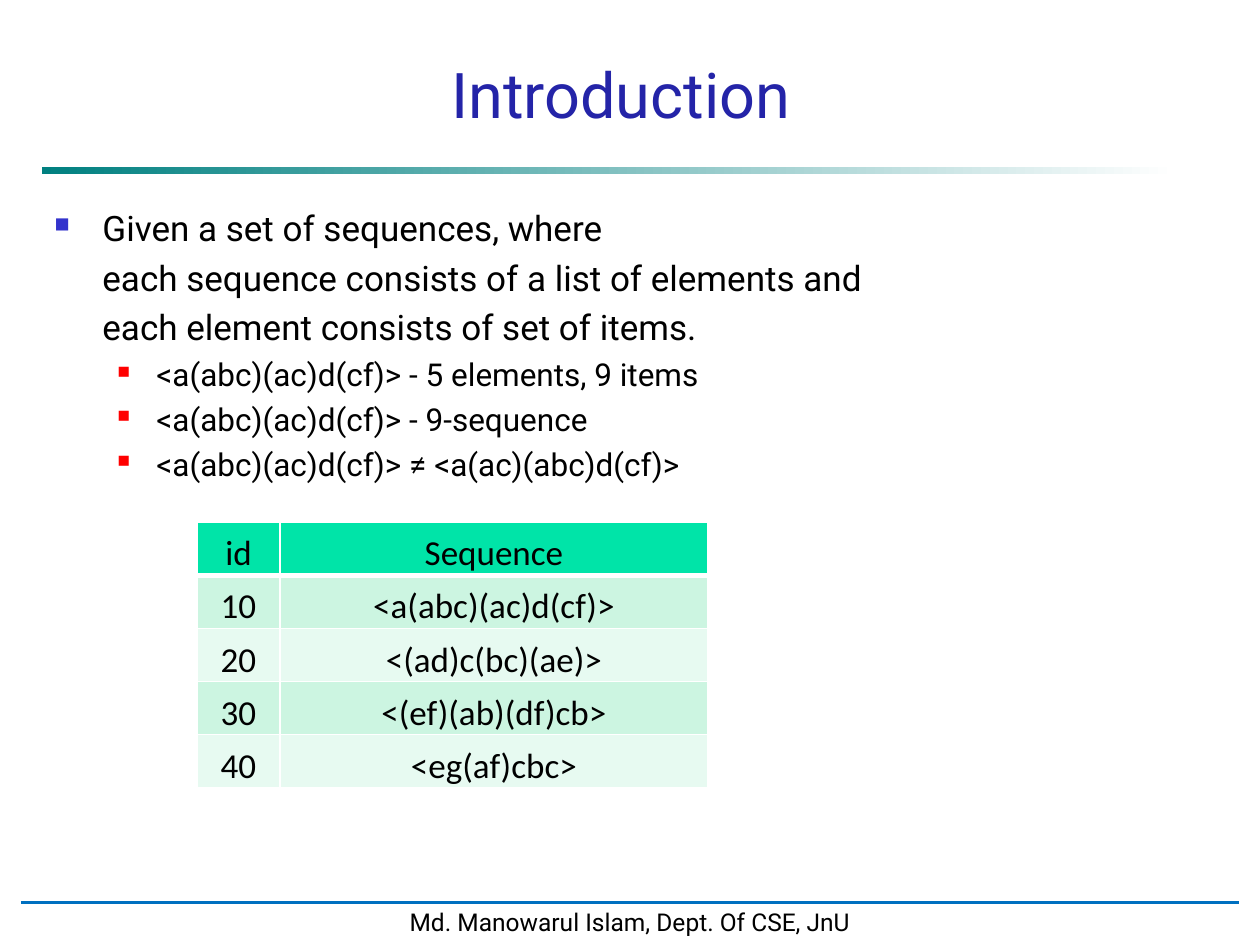
from lxml import etree
from pptx import Presentation
from pptx.dml.color import RGBColor
from pptx.enum.shapes import MSO_CONNECTOR, MSO_SHAPE
from pptx.enum.text import MSO_ANCHOR, PP_ALIGN
from pptx.oxml.ns import qn
from pptx.util import Pt

EMU_PER_PX = 914400 // 126
CENTER = PP_ALIGN.CENTER
BOTTOM, MIDDLE = MSO_ANCHOR.BOTTOM, MSO_ANCHOR.MIDDLE
RECTANGLE, STRAIGHT = MSO_SHAPE.RECTANGLE, MSO_CONNECTOR.STRAIGHT

BODY_FONT, TABLE_FONT = "Roboto", "Calibri"
COLORS = {
    "text": "000000", "title": "2424A8", "white": "FFFFFF",
    "rule_start": "008080", "footer_line": "0070C0",
    "bullet": "3333CC", "sub_bullet": "FF0000",
    "header": "00E4A8", "odd_row": "CCF5E1", "even_row": "E7FAF1",
}

STATEMENT = [
    "Given a set of sequences, where",
    "each sequence consists of a list of elements and",
    "each element consists of set of items.",
]
EXAMPLES = [
    "<a(abc)(ac)d(cf)> - 5 elements, 9 items",
    "<a(abc)(ac)d(cf)> - 9-sequence",
    "<a(abc)(ac)d(cf)> ≠ <a(ac)(abc)d(cf)>",
]
SEQUENCES = [
    ("id", "Sequence"),
    ("10", "<a(abc)(ac)d(cf)>"),
    ("20", "<(ad)c(bc)(ae)>"),
    ("30", "<(ef)(ab)(df)cb>"),
    ("40", "<eg(af)cbc>"),
]


def px(length):
    return length * EMU_PER_PX


def rgb(name):
    return RGBColor.from_string(COLORS[name])


def add_run(paragraph, text, size, color="text", font=BODY_FONT):
    run = paragraph.add_run()
    run.text = text
    run.font.size = Pt(size)
    run.font.name = font
    run.font.color.rgb = rgb(color)


def add_text_box(slide, box):
    frame = slide.shapes.add_textbox(*map(px, box)).text_frame
    frame.word_wrap = True
    return frame


def add_rectangle(slide, box):
    shape = slide.shapes.add_shape(RECTANGLE, *map(px, box))
    shape.shadow.inherit = False
    return shape


def set_indent(paragraph, margin, indent):
    properties = paragraph._p.get_or_add_pPr()
    properties.set("marL", str(px(margin)))
    properties.set("indent", str(px(indent)))


def add_bullet(paragraph, color, percent):
    properties = paragraph._p.get_or_add_pPr()
    bullet_color = etree.SubElement(properties, qn("a:buClr"))
    etree.SubElement(bullet_color, qn("a:srgbClr"), val=COLORS[color])
    etree.SubElement(properties, qn("a:buSzPct"), val=str(percent * 1000))
    etree.SubElement(properties, qn("a:buChar"), char="■")


def add_title(slide, box):
    frame = add_text_box(slide, box)
    frame.vertical_anchor = BOTTOM
    paragraph = frame.paragraphs[0]
    paragraph.alignment = CENTER
    add_run(paragraph, "Introduction", 36, "title")


def add_title_rule(slide, box):
    rule = add_rectangle(slide, box)
    rule.line.fill.background()
    rule.fill.gradient()
    rule.fill.gradient_angle = 0
    for stop, position, color in zip(rule.fill.gradient_stops, (0, 1), ("rule_start", "white")):
        stop.position = position
        stop.color.rgb = rgb(color)


def add_body(slide, box):
    frame = add_text_box(slide, box)
    for index, text in enumerate(STATEMENT):
        paragraph = frame.add_paragraph() if index else frame.paragraphs[0]
        if index:
            set_indent(paragraph, 48, 0)
            paragraph.space_before = Pt(4.5)
        else:
            set_indent(paragraph, 48, -48)
            add_bullet(paragraph, "bullet", 60)
        add_run(paragraph, text, 20)
    for text in EXAMPLES:
        paragraph = frame.add_paragraph()
        paragraph.level = 1
        set_indent(paragraph, 102, -39)
        paragraph.space_before = Pt(4)
        add_bullet(paragraph, "sub_bullet", 55)
        add_run(paragraph, text, 18)


def add_cell_borders(cell, bottom_width):
    properties = cell._tc.get_or_add_tcPr()
    widths = {"a:lnL": 1, "a:lnR": 1, "a:lnT": 1, "a:lnB": bottom_width}
    for tag, width in widths.items():
        border = etree.SubElement(properties, qn(tag), w=str(Pt(width)))
        fill = etree.SubElement(border, qn("a:solidFill"))
        etree.SubElement(fill, qn("a:srgbClr"), val=COLORS["white"])


def fill_cell(cell, text, color, bottom_width):
    cell.margin_left = cell.margin_right = cell.margin_top = px(1)
    cell.margin_bottom = 0
    cell.vertical_anchor = BOTTOM
    add_cell_borders(cell, bottom_width)
    cell.fill.solid()
    cell.fill.fore_color.rgb = rgb(color)
    paragraph = cell.text_frame.paragraphs[0]
    paragraph.alignment = CENTER
    add_run(paragraph, text, 20, font=TABLE_FONT)


def add_sequence_table(slide, box):
    left, top, width, height = box
    id_width = 83
    frame = slide.shapes.add_table(len(SEQUENCES), 2, *map(px, box))
    table = frame.table
    table.columns[0].width = px(id_width)
    table.columns[1].width = px(width - id_width)
    for row_index, values in enumerate(SEQUENCES):
        table.rows[row_index].height = px(height) // len(SEQUENCES)
        if row_index == 0:
            color, bottom_width = "header", 3
        else:
            color, bottom_width = ("odd_row" if row_index % 2 else "even_row"), 1
        for column_index, text in enumerate(values):
            fill_cell(table.cell(row_index, column_index), text, color, bottom_width)


def add_footer(slide, box):
    left, top, width, height = box
    footer = add_rectangle(slide, box)
    footer.fill.solid()
    footer.fill.fore_color.rgb = rgb("white")
    footer.line.color.rgb = rgb("white")
    footer.line.width = Pt(2)
    frame = footer.text_frame
    frame.word_wrap = False
    frame.vertical_anchor = MIDDLE
    paragraph = frame.paragraphs[0]
    paragraph.alignment = CENTER
    add_run(paragraph, "Md. Manowarul Islam, Dept. Of CSE, JnU", 14)

    line_y = top + 2
    line = slide.shapes.add_connector(
        STRAIGHT, px(left), px(line_y), px(left + width), px(line_y))
    line.line.color.rgb = rgb("footer_line")
    line.line.width = Pt(1.75)
    etree.SubElement(line._element.spPr, qn("a:effectLst"))


def main():
    presentation = Presentation()
    presentation.slide_width = px(1260)
    presentation.slide_height = px(945)
    slide = presentation.slides.add_slide(presentation.slide_layouts[6])
    add_title_rule(slide, (42, 167, 1134, 7))
    add_footer(slide, (21, 901, 1218, 42))
    add_title(slide, (84, 53, 1074, 84))
    add_body(slide, (42, 200, 1155, 693))
    add_sequence_table(slide, (197, 522, 511, 266))
    presentation.save("out.pptx")


if __name__ == "__main__":
    main()
